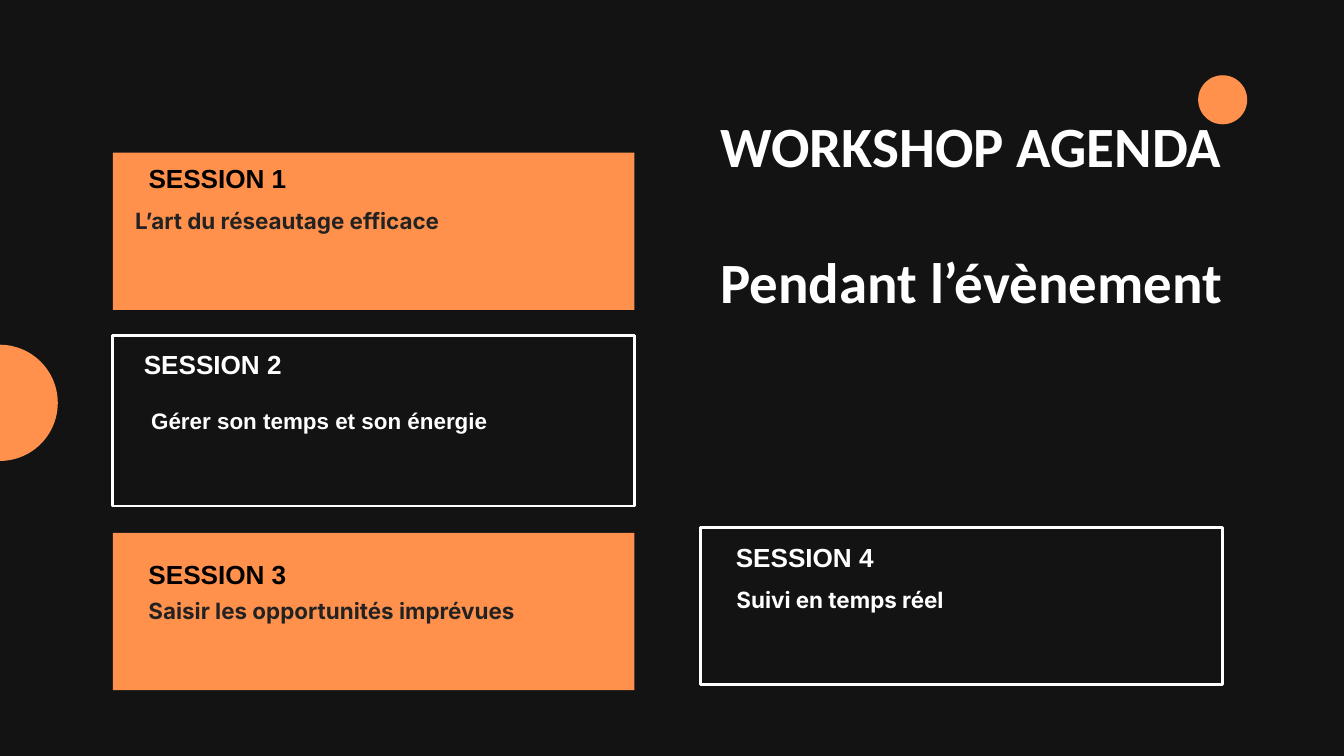
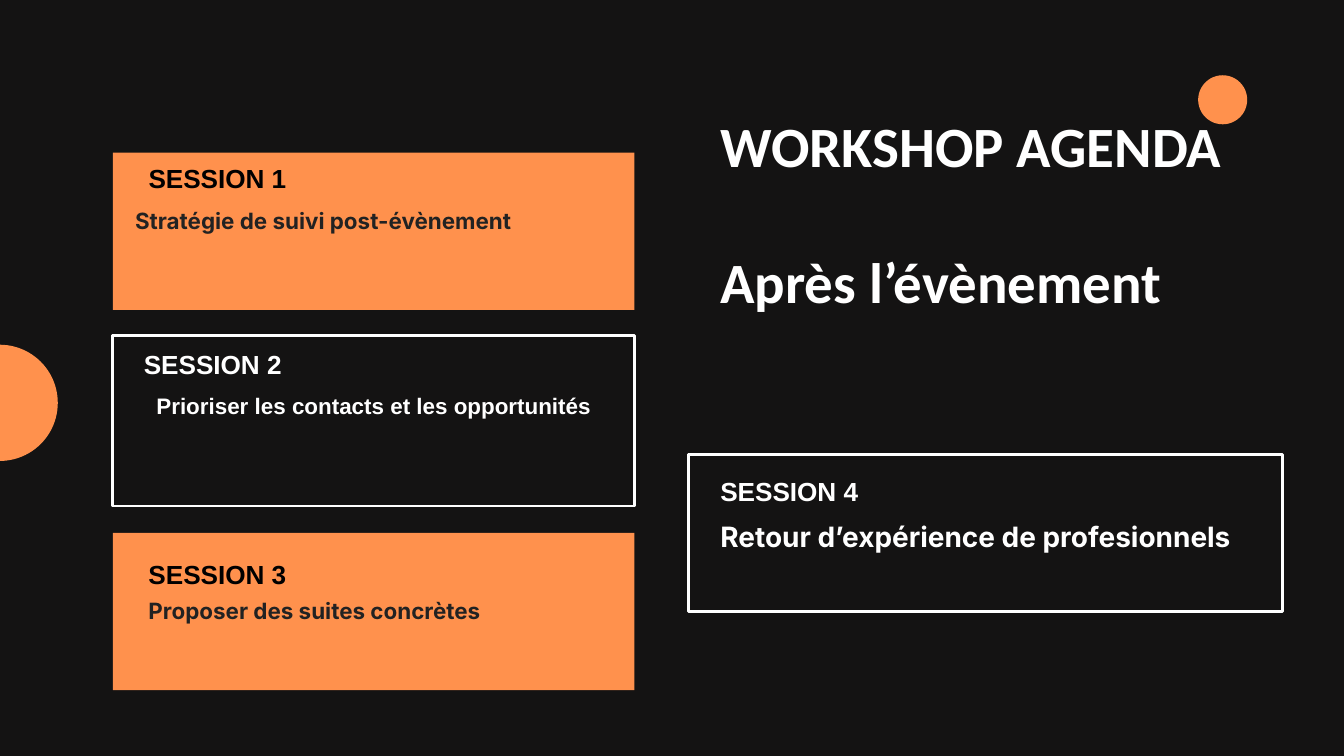
from pptx import Presentation
from pptx.dml.color import RGBColor
from pptx.enum.shapes import MSO_SHAPE
from pptx.enum.text import MSO_AUTO_SIZE, PP_ALIGN
from pptx.util import Inches, Pt

COLORS = {
    "night": "141313",
    "orange": "FF914D",
    "white": "FFFFFF",
    "black": "000000",
    "ink": "222222",
}

# Cards shared by both slides: left, top, width, height
CARD_1 = (1.68, 2.27, 7.76, 2.34)
CARD_2 = (1.68, 4.99, 7.76, 2.54)
CARD_3 = (1.68, 7.93, 7.76, 2.34)

# Session labels shared by both slides
LABEL_1 = (2.21, 2.42, 3.21, 0.46)
LABEL_2 = (2.14, 5.18, 3.21, 0.46)
LABEL_3 = (2.21, 8.31, 4.56, 0.46)

# Session topics shared by both slides
TOPIC_1 = (2.01, 3.01, 6.83, 0.9)
TOPIC_3 = (2.21, 8.82, 6.83, 0.8)

SLIDES = [
    {
        "title": ["WORKSHOP AGENDA", "Pendant l’évènement"],
        "title_box": (10.72, 1.64, 7.95, 5.12),
        "topics": [
            "L’art du réseautage efficace",
            "Gérer son temps et son énergie",
            "Saisir les opportunités imprévues",
            "Suivi en temps réel",
        ],
        "topic_2": (0.87, 6.06, 7.76, 0.4),
        "card_4": (10.43, 7.85, 7.76, 2.34),
        "label_4": (10.95, 8.05, 4.56, 0.46),
        "topic_4": (10.96, 8.65, 6.83, 0.9),
        "size_4": 24,
    },
    {
        "title": ["WORKSHOP AGENDA", "Après l’évènement"],
        "title_box": (10.72, 1.64, 8.36, 4.1),
        "topics": [
            "Stratégie de suivi post-évènement",
            "Prioriser les contacts et les opportunités",
            "Proposer des suites concrètes",
            "Retour d’expérience de profesionnels",
        ],
        "topic_2": (1.68, 5.84, 7.76, 0.4),
        "card_4": (10.25, 6.76, 8.84, 2.34),
        "label_4": (10.72, 7.07, 4.56, 0.46),
        "topic_4": (10.72, 7.77, 8.12, 0.48),
        "size_4": 30,
    },
]


def color(name):
    return RGBColor.from_string(COLORS[name])


def inches(box):
    return [Inches(value) for value in box]


def add_form(slide, kind, box, filled):
    """Orange shape without line, or white outline without fill."""
    shape = slide.shapes.add_shape(kind, *inches(box))
    shape.shadow.inherit = False
    if filled:
        shape.fill.solid()
        shape.fill.fore_color.rgb = color("orange")
        shape.line.fill.background()
    else:
        shape.fill.background()
        shape.line.color.rgb = color("white")
        shape.line.width = Pt(3)


def add_text(slide, box, lines, size, face, tint, pitch, gap=0, align=PP_ALIGN.LEFT):
    frame = slide.shapes.add_textbox(*inches(box)).text_frame
    frame.word_wrap = True
    frame.auto_size = MSO_AUTO_SIZE.SHAPE_TO_FIT_TEXT
    frame.margin_left = frame.margin_right = 0
    frame.margin_top = frame.margin_bottom = 0
    for index, line in enumerate(lines):
        para = frame.add_paragraph() if index else frame.paragraphs[0]
        para.alignment = align
        para.line_spacing = Pt(pitch)
        if index:
            para.space_before = Pt(gap)
        run = para.add_run()
        run.text = line
        run.font.size = Pt(size)
        run.font.name = face
        run.font.bold = True
        run.font.color.rgb = color(tint)


def add_title(slide, box, lines):
    # One empty line's height separates the two lines
    add_text(slide, box, lines, 61, "Calibri", "white", 73.2, gap=73.2)


def add_label(slide, box, number, filled):
    tint = "black" if filled else "white"
    add_text(slide, box, [f"SESSION {number}"], 28, "Arial", tint, 33.6)


def add_topic(slide, box, text, filled, size=24):
    tint = "ink" if filled else "white"
    add_text(slide, box, [text], size, "Inter", tint, 33.6)


def add_agenda(deck, data):
    slide = deck.slides.add_slide(deck.slide_layouts[6])
    slide.background.fill.solid()
    slide.background.fill.fore_color.rgb = color("night")
    add_title(slide, data["title_box"], data["title"])

    # Cards and labels: odd sessions are filled, even ones outlined
    cards = [CARD_1, CARD_2, CARD_3, data["card_4"]]
    labels = [LABEL_1, LABEL_2, LABEL_3, data["label_4"]]
    for number, (card, label) in enumerate(zip(cards, labels), 1):
        filled = number % 2 == 1
        add_form(slide, MSO_SHAPE.RECTANGLE, card, filled)
        add_label(slide, label, number, filled)

    # Topics: the second is centred in its own face
    first, second, third, fourth = data["topics"]
    add_topic(slide, TOPIC_1, first, True)
    add_text(slide, data["topic_2"], [second], 24, "Arial", "white", 28.8,
             align=PP_ALIGN.CENTER)
    add_topic(slide, TOPIC_3, third, True)
    add_topic(slide, data["topic_4"], fourth, False, data["size_4"])

    # Accent circles
    for left, top, size in [(-0.87, 5.13, 1.73), (17.83, 1.12, 0.73)]:
        add_form(slide, MSO_SHAPE.OVAL, (left, top, size, size), True)


def main():
    deck = Presentation()
    deck.slide_width = Inches(20)
    deck.slide_height = Inches(11.25)
    for data in SLIDES:
        add_agenda(deck, data)
    deck.save("out.pptx")


if __name__ == "__main__":
    main()
